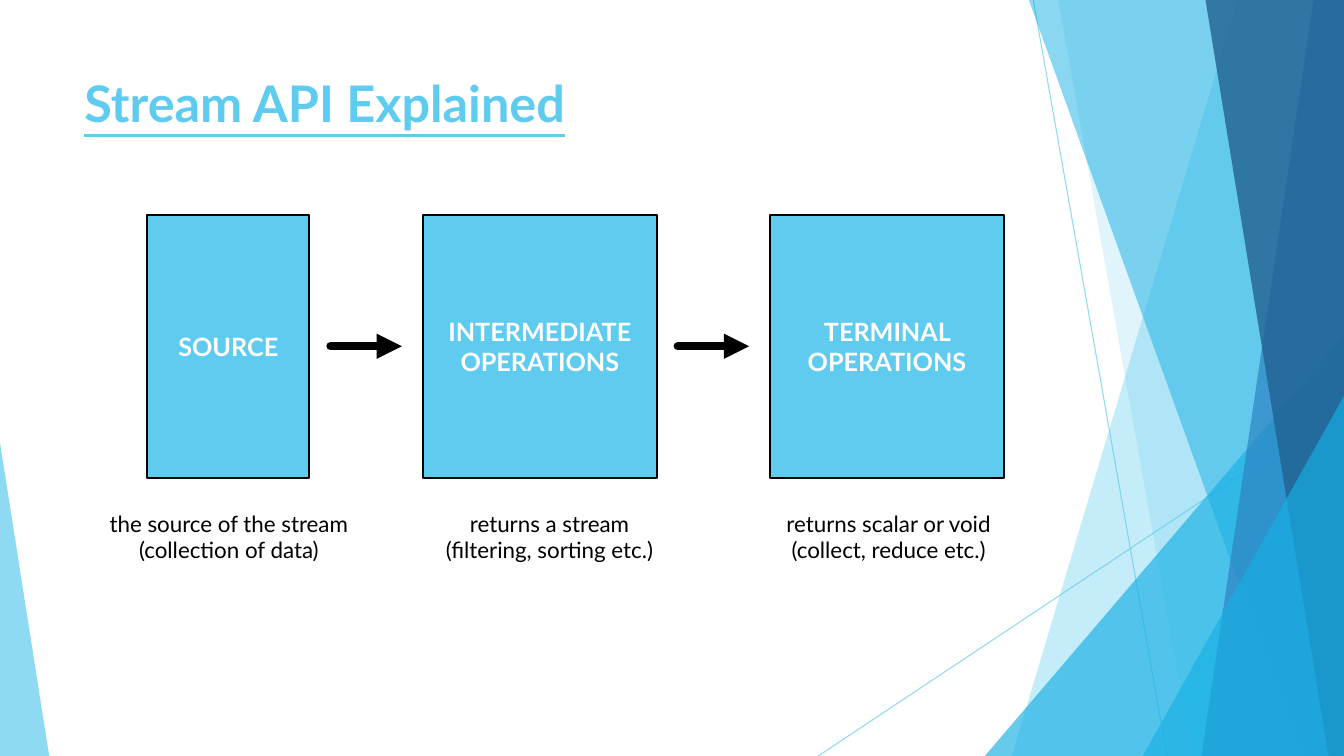
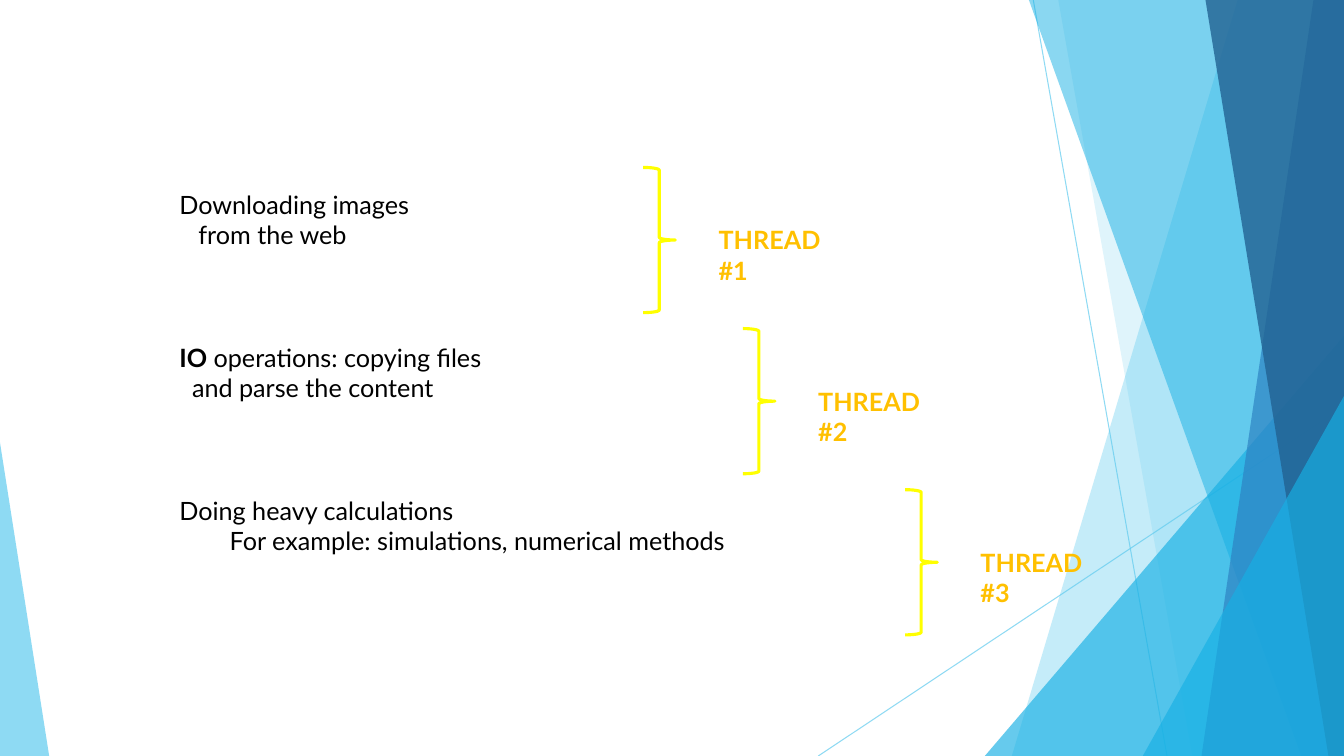
from dataclasses import dataclass

import pptx
import pptx.dml.color
import pptx.enum.shapes
import pptx.enum.text
import pptx.oxml
import pptx.oxml.ns
import pptx.shapes.autoshape
import pptx.shapes.base
import pptx.shapes.connector
import pptx.slide
import pptx.text.text
import pptx.util

Cm = pptx.util.Cm
Pt = pptx.util.Pt
RGB = pptx.dml.color.RGBColor
Shape = pptx.enum.shapes.MSO_SHAPE
Align = pptx.enum.text.PP_ALIGN
Anchor = pptx.enum.text.MSO_ANCHOR
qn = pptx.oxml.ns.qn

WIDTH, HEIGHT = 33.87, 19.05


@dataclass(frozen=True)
class Theme:
    font: str = "Lato"
    sky: RGB = RGB(0x5F, 0xCB, 0xEF)
    cyan: RGB = RGB(0x17, 0xB0, 0xE4)
    blue: RGB = RGB(0x2E, 0x83, 0xC3)
    navy: RGB = RGB(0x22, 0x62, 0x92)
    black: RGB = RGB(0, 0, 0)
    white: RGB = RGB(0xFF, 0xFF, 0xFF)
    yellow: RGB = RGB(0xFF, 0xFF, 0)
    amber: RGB = RGB(0xFF, 0xC0, 0)
    title: int = 36
    body: int = 18
    caption: int = 16


T = Theme()


@dataclass(frozen=True)
class Run:
    text: str
    bold: bool = False


@dataclass(frozen=True)
class Style:
    size: int
    color: RGB
    align: Align = Align.LEFT
    underline: bool = False


@dataclass(frozen=True)
class Line:
    runs: tuple[Run, ...]
    indent: float = 0


@dataclass(frozen=True)
class Shard:
    top_x: float
    bottom_x: float
    color: RGB
    opacity: int


@dataclass(frozen=True)
class Corner:
    left: float
    top: float
    width: float
    apex: int
    color: RGB
    opacity: int


@dataclass(frozen=True)
class Stage:
    name: str
    width: float
    caption: tuple[str, str]
    caption_left: float
    caption_width: float


@dataclass(frozen=True)
class Task:
    lines: tuple[Line, Line]
    brace_left: float
    thread: str


RAYS = ((26.04, 0, 29.41, HEIGHT), (WIDTH, 10.24, 20.62, HEIGHT))

FACETS = (
    Shard(31.19, 25.5, T.sky, 36),
    Shard(26.67, 30.05, T.sky, 20),
    Corner(24.82, 8.46, 9.05, 1, T.cyan, 66),
    Shard(25.93, 32.79, T.cyan, 50),
    Shard(33.1, 30.28, T.blue, 70),
    Shard(30.38, 33.48, T.navy, 80),
    Corner(28.8, 9.98, 5.07, 1, T.cyan, 66),
    Corner(0, 11.15, 1.24, 0, T.sky, 70),
)

STAGES = (
    Stage("SOURCE", 4.09, ("the source of the stream", "(collection of data)"), 2.34, 6.86),
    Stage("INTERMEDIATE OPERATIONS", 5.89, ("returns a stream", "(filtering, sorting etc.)"), 10.69, 6.32),
    Stage("TERMINAL OPERATIONS", 5.89, ("returns scalar or void", "(collect, reduce etc.)"), 19.41, 5.97),
)

TASKS = (
    Task((Line((Run("Downloading images"),)),
          Line((Run("from the web"),), 0.48)), 16.21, "THREAD #1"),
    Task((Line((Run("IO", True), Run(" operations: copying files"))),
          Line((Run("and parse the content"),), 0.32)), 18.72, "THREAD #2"),
    Task((Line((Run("Doing heavy calculations"),)),
          Line((Run("For example: simulations, numerical methods"),), 1.27)), 22.81, "THREAD #3"),
)


def set_opacity(sp: pptx.shapes.base.BaseShape, percent: int) -> None:
    for color in sp.element.spPr.iter(qn("a:srgbClr")):
        alpha = pptx.oxml.parse_xml(f"<a:alpha {pptx.oxml.ns.nsdecls('a')}/>")
        alpha.set("val", str(percent * 1000))
        color.append(alpha)


def write(tf: pptx.text.text.TextFrame, lines: tuple[Line, ...], style: Style) -> None:
    tf.word_wrap = True
    for i, line in enumerate(lines):
        p = tf.paragraphs[0] if i == 0 else tf.add_paragraph()
        p.alignment = style.align
        if line.indent:
            p._p.get_or_add_pPr().set("marL", str(Cm(line.indent)))
        for run in line.runs:
            r = p.add_run()
            r.text = run.text
            r.font.name = T.font
            r.font.size = Pt(style.size)
            r.font.bold = run.bold
            r.font.underline = style.underline
            r.font.color.rgb = style.color


def add_text(s: pptx.slide.Slide, left: float, top: float, width: float, height: float,
             lines: tuple[Line, ...], style: Style) -> None:
    sp = s.shapes.add_textbox(Cm(left), Cm(top), Cm(width), Cm(height))
    write(sp.text_frame, lines, style)


def add_shape(s: pptx.slide.Slide, kind: Shape, left: float, top: float,
              width: float, height: float) -> pptx.shapes.autoshape.Shape:
    sp = s.shapes.add_shape(kind, Cm(left), Cm(top), Cm(width), Cm(height))
    sp.shadow.inherit = False
    return sp


def add_line(s: pptx.slide.Slide, x1: float, y1: float, x2: float, y2: float,
             color: RGB, weight: float) -> pptx.shapes.connector.Connector:
    sp = s.shapes.add_connector(pptx.enum.shapes.MSO_CONNECTOR.STRAIGHT,
                                Cm(x1), Cm(y1), Cm(x2), Cm(y2))
    sp.line.color.rgb = color
    sp.line.width = Pt(weight)
    sp.element.spPr.append(pptx.oxml.parse_xml(f"<a:effectLst {pptx.oxml.ns.nsdecls('a')}/>"))
    return sp


def add_arrow(s: pptx.slide.Slide, x1: float, x2: float, y: float) -> None:
    ln = add_line(s, x1, y, x2, y, T.black, 6).line._get_or_add_ln()
    ln.set("cap", "rnd")
    ln.append(pptx.oxml.parse_xml(f"<a:tailEnd {pptx.oxml.ns.nsdecls('a')} type='triangle'/>"))


def add_facet(s: pptx.slide.Slide, facet: Shard | Corner) -> None:
    if isinstance(facet, Shard):
        fb = s.shapes.build_freeform(Cm(facet.top_x), 0)
        fb.add_line_segments([(Cm(WIDTH), 0), (Cm(WIDTH), Cm(HEIGHT)),
                              (Cm(facet.bottom_x), Cm(HEIGHT))], close=True)
        sp = fb.convert_to_shape()
        sp.shadow.inherit = False
    else:
        sp = add_shape(s, Shape.ISOSCELES_TRIANGLE, facet.left, facet.top,
                       facet.width, HEIGHT - facet.top)
        sp.adjustments[0] = facet.apex
    sp.fill.solid()
    sp.fill.fore_color.rgb = facet.color
    sp.line.fill.background()
    set_opacity(sp, facet.opacity)


def add_slide(prs: pptx.presentation.Presentation) -> pptx.slide.Slide:
    s = prs.slides.add_slide(prs.slide_layouts[6])
    for ray in RAYS:
        set_opacity(add_line(s, *ray, T.sky, 0.75), 70)
    for facet in FACETS:
        add_facet(s, facet)
    return s


def build_stream(s: pptx.slide.Slide) -> None:
    top, height, gap, inset = 5.41, 6.63, 2.86, 0.53
    add_text(s, 1.88, 1.7, 23.88, 3.66, (Line((Run("Stream API Explained", True),)),),
             Style(T.title, T.sky, underline=True))
    left = 3.71
    for i, stage in enumerate(STAGES):
        if i:
            add_arrow(s, left - gap + inset, left - inset, top + height / 2)
        sp = add_shape(s, Shape.RECTANGLE, left, top, stage.width, height)
        sp.fill.solid()
        sp.fill.fore_color.rgb = T.sky
        sp.line.color.rgb = T.black
        sp.line.width = Pt(1.5)
        sp.text_frame.vertical_anchor = Anchor.MIDDLE
        write(sp.text_frame, (Line((Run(stage.name, True),)),),
              Style(T.body, T.white, Align.CENTER))
        add_text(s, stage.caption_left, 12.72, stage.caption_width, 1.63,
                 tuple(Line((Run(text),)) for text in stage.caption),
                 Style(T.caption, T.black, Align.CENTER))
        left += stage.width + gap


def build_threads(s: pptx.slide.Slide) -> None:
    for i, task in enumerate(TASKS):
        add_text(s, 4.27, 4.65 + 3.85 * i, 17, 1.8, task.lines, Style(T.body, T.black))
        top = 4.22 + 4.06 * i
        sp = add_shape(s, Shape.RIGHT_BRACE, task.brace_left, top, 0.81, 3.66)
        sp.fill.background()
        sp.line.color.rgb = T.yellow
        sp.line.width = Pt(2.25)
        add_text(s, task.brace_left + 1.65, top + 1.32, 3.3, 1.8,
                 (Line((Run(task.thread, True),)),), Style(T.body, T.amber))


def main() -> None:
    prs = pptx.Presentation()
    prs.slide_width = Cm(WIDTH)
    prs.slide_height = Cm(HEIGHT)
    for build in (build_stream, build_threads):
        build(add_slide(prs))
    prs.save("out.pptx")


if __name__ == "__main__":
    main()
